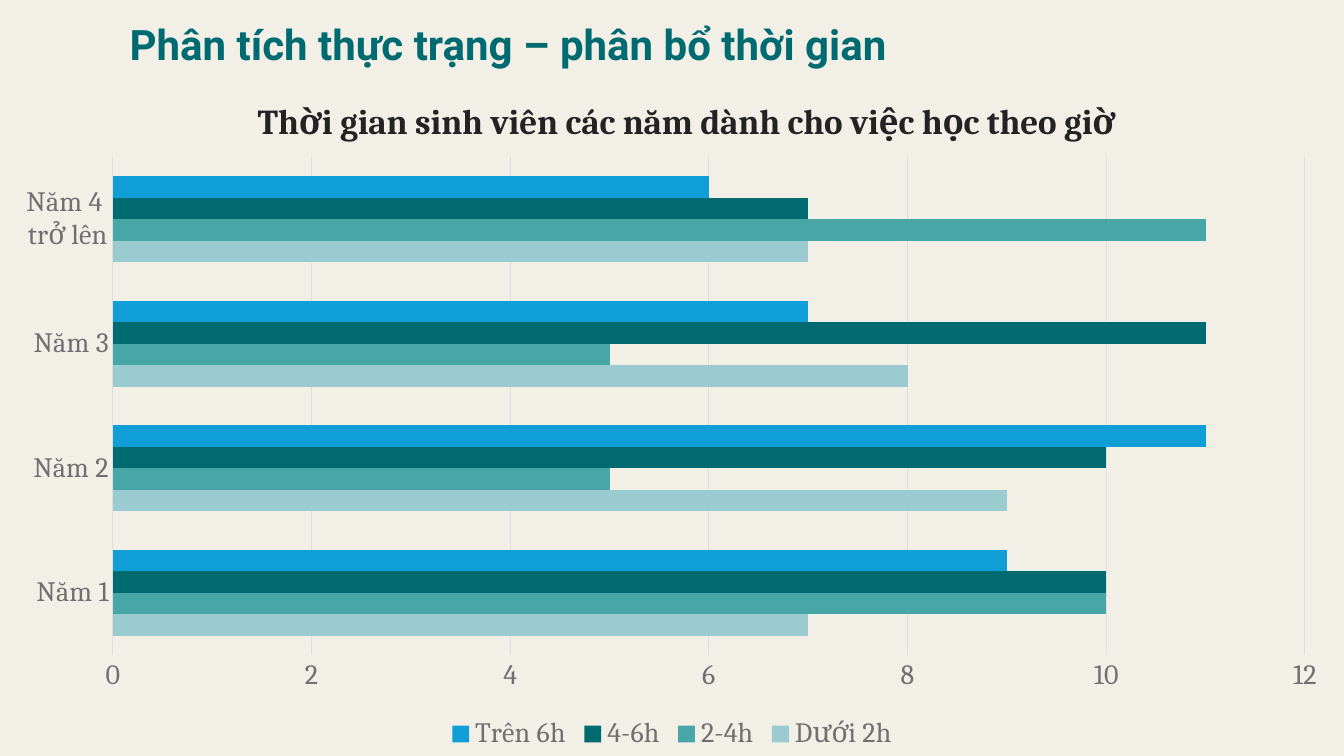
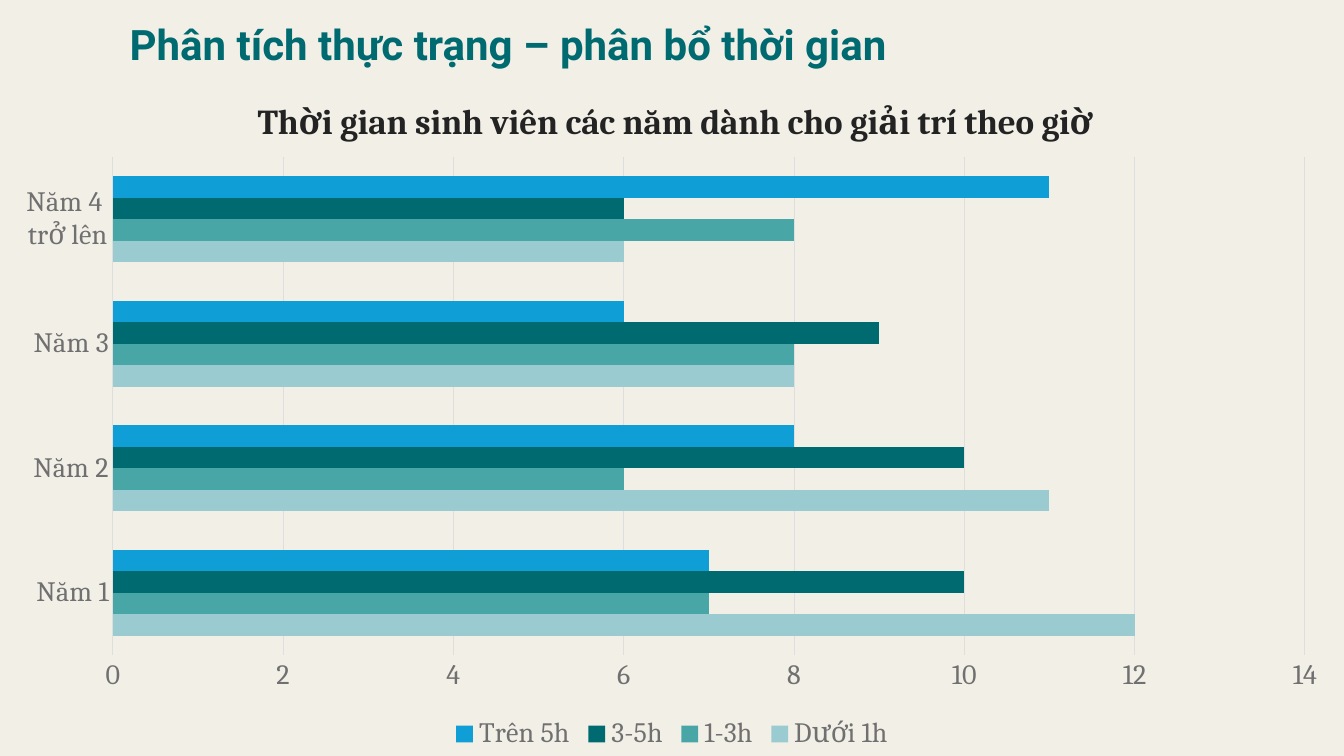
from lxml.etree import SubElement
from pptx import Presentation
from pptx.chart.data import CategoryChartData
from pptx.dml.color import RGBColor
from pptx.enum.chart import XL_CHART_TYPE, XL_LEGEND_POSITION, XL_TICK_MARK
from pptx.enum.shapes import MSO_SHAPE
from pptx.enum.text import MSO_ANCHOR, PP_ALIGN
from pptx.oxml.ns import qn
from pptx.util import Inches, Pt

COLORS = {
    "background": "F2EFE7", "heading": "006A71", "text": "232323",
    "muted": "707070", "grid": "DEDEDE",
}
SERIES_COLORS = ["9ACBD0", "48A6A7", "006A71", "0F9ED5"]
HEADING_FONT, CHART_FONT = "Roboto", "Cambria"
HEADING = "Phân tích thực trạng – phân bổ thời gian"
YEARS = ["Năm 1", "Năm 2", "Năm 3", "Năm 4 \ntrở lên"]
WIDTH, HEIGHT = Inches(13.33), Inches(7.5)
HEADING_BOX = [Inches(v) for v in (1.12, 0.13, 10.74, 0.61)]
CHART_BOX = [0, Inches(0.74), WIDTH, HEIGHT - Inches(0.74)]

SLIDES = [
    ("Thời gian sinh viên các năm dành cho việc học theo giờ", 12, {
        "Dưới 2h": [7, 9, 8, 7],
        "2-4h": [10, 5, 5, 11],
        "4-6h": [10, 10, 11, 7],
        "Trên 6h": [9, 11, 7, 6],
    }),
    ("Thời gian sinh viên các năm dành cho giải trí theo giờ", 14, {
        "Dưới 1h": [12, 11, 8, 6],
        "1-3h": [7, 6, 8, 8],
        "3-5h": [10, 10, 9, 6],
        "Trên 5h": [7, 8, 6, 11],
    }),
]


def rgb(value):
    return RGBColor.from_string(value)


def style_font(font, name, size, color, bold=False):
    font.name, font.size, font.bold = name, Pt(size), bold
    font.color.rgb = rgb(color)


def style_line(line):
    line.color.rgb = rgb(COLORS["grid"])
    line.width = Pt(0.75)


def place(parent, index, **settings):
    for old in parent.findall(qn("c:layout")):
        parent.remove(old)
    layout = SubElement(parent, qn("c:layout"))
    manual = SubElement(layout, qn("c:manualLayout"))
    for tag, value in settings.items():
        SubElement(manual, qn(f"c:{tag}")).set("val", str(value))
    parent.insert(index, layout)


def add_heading(slide, box):
    sp = slide.shapes.add_shape(MSO_SHAPE.ROUNDED_RECTANGLE, *box)
    sp.adjustments[0] = 0.38
    sp.shadow.inherit = False
    sp.fill.background()
    sp.line.fill.background()
    tf = sp.text_frame
    tf.vertical_anchor = MSO_ANCHOR.MIDDLE
    p = tf.paragraphs[0]
    p.text = HEADING
    p.alignment = PP_ALIGN.LEFT
    style_font(p.font, HEADING_FONT, 30, COLORS["heading"], True)


def style_axes(chart, maximum):
    for axis in (chart.category_axis, chart.value_axis):
        axis.major_tick_mark = axis.minor_tick_mark = XL_TICK_MARK.NONE
        style_font(axis.tick_labels.font, CHART_FONT, 20, COLORS["muted"])
    style_line(chart.category_axis.format.line)
    values = chart.value_axis
    values.format.line.fill.background()
    values.minimum_scale, values.maximum_scale, values.major_unit = 0, maximum, 2
    style_line(values.major_gridlines.format.line)


def add_hours_chart(slide, box, title, maximum, hours):
    data = CategoryChartData()
    data.categories = YEARS
    for name, counts in hours.items():
        data.add_series(name, counts)
    chart = slide.shapes.add_chart(XL_CHART_TYPE.BAR_CLUSTERED, *box, data).chart
    style_font(chart.font, CHART_FONT, 10, COLORS["text"])

    chart.has_title = True
    p = chart.chart_title.text_frame.paragraphs[0]
    p.text = title
    style_font(p.font, CHART_FONT, 25, COLORS["text"], True)
    place(chart.chart_title._element, 1, xMode="edge", yMode="edge", x=0.187, y=0.026)

    chart.has_legend = True
    chart.legend.position = XL_LEGEND_POSITION.BOTTOM
    chart.legend.include_in_layout = False
    style_font(chart.legend.font, CHART_FONT, 20, COLORS["muted"])

    style_axes(chart, maximum)
    plot = chart.plots[0]
    plot.gap_width = 182
    plot.vary_by_categories = False
    for series, color in zip(plot.series, SERIES_COLORS):
        series.format.fill.solid()
        series.format.fill.fore_color.rgb = rgb(color)
    place(chart._chartSpace.chart.plotArea, 0, layoutTarget="inner",
          xMode="edge", yMode="edge", x=0.084, y=0.121, w=0.887, h=0.731)


def main():
    prs = Presentation()
    prs.slide_width, prs.slide_height = WIDTH, HEIGHT
    fill = prs.slide_master.background.fill
    fill.solid()
    fill.fore_color.rgb = rgb(COLORS["background"])
    for title, maximum, hours in SLIDES:
        slide = prs.slides.add_slide(prs.slide_layouts[6])
        add_heading(slide, HEADING_BOX)
        add_hours_chart(slide, CHART_BOX, title, maximum, hours)
    prs.save("out.pptx")


if __name__ == "__main__":
    main()
